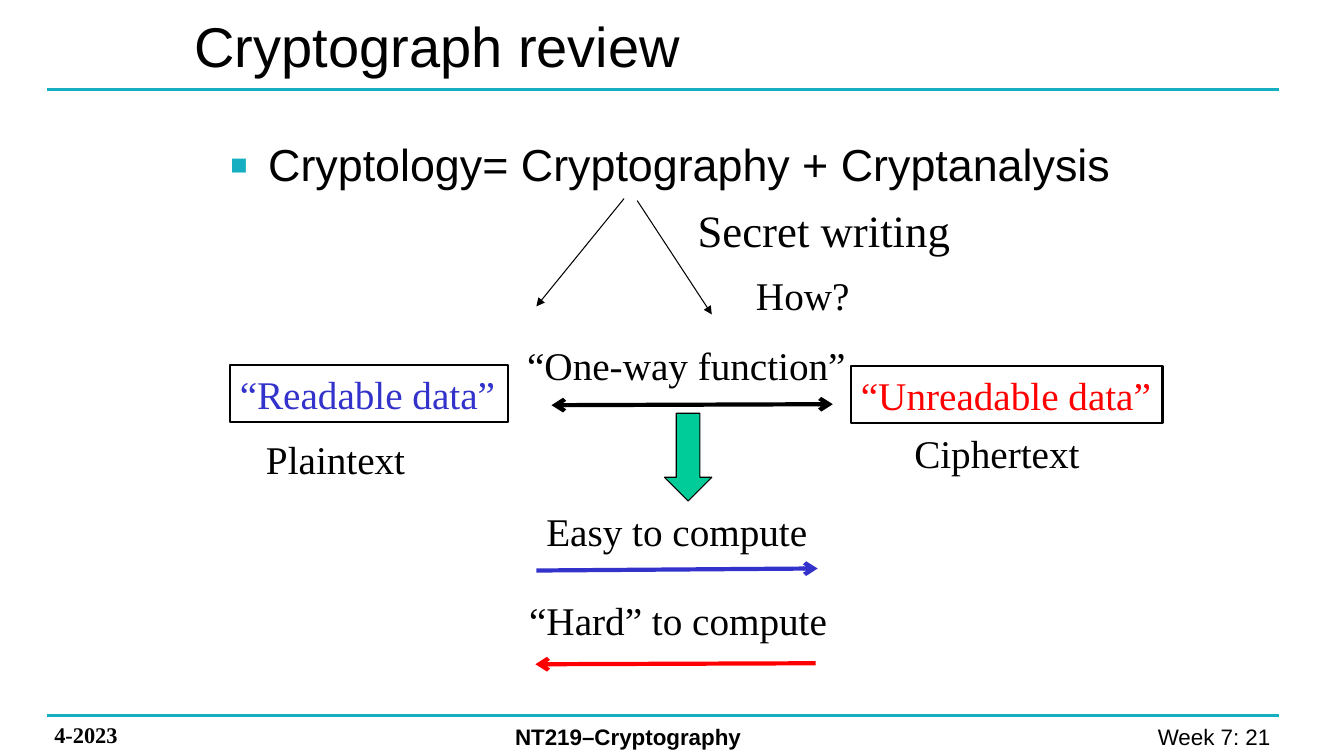
from lxml.etree import SubElement
from pptx import Presentation
from pptx.dml.color import RGBColor
from pptx.enum.shapes import MSO_CONNECTOR, MSO_SHAPE
from pptx.enum.text import MSO_ANCHOR, MSO_AUTO_SIZE, PP_ALIGN
from pptx.oxml.ns import qn
from pptx.util import Emu, Pt

EMU_PER_PX = 9144  # 100 px to the inch
BLACK, TEAL, BLUE, RED, GREEN = "000000", "16AFC2", "3333CC", "FF0000", "00CC99"
SANS, SERIF = "Arial", "Times New Roman"


def px(length):
    return Emu(length * EMU_PER_PX)


def color(value):
    return RGBColor.from_string(value)


def apply_format(target, values):
    for name, value in values.items():
        setattr(target, name, value)


def add_xml(parent, tag, **attributes):
    return SubElement(parent, qn(tag), attributes)


class SlideBuilder:
    """Holds the text style and the slide being built."""

    text_format = {"name": SERIF, "size": Pt(28), "bold": False}

    def __init__(self, deck):
        self.page = deck.slides.add_slide(deck.slide_layouts[1])

    def set_text(self, shape, words, ink=BLACK, align=PP_ALIGN.LEFT,
                 anchor=MSO_ANCHOR.TOP, wrap=True, **changes):
        frame = shape.text_frame
        apply_format(frame, {"word_wrap": wrap, "auto_size": MSO_AUTO_SIZE.NONE,
                             "vertical_anchor": anchor})
        para = frame.paragraphs[0]
        para.alignment = align
        span = para.add_run()
        span.text = words
        apply_format(span.font, {**self.text_format, **changes})
        span.font.color.rgb = color(ink)
        return para

    def placeholder(self, index, bounds, words, **style):
        holder = self.page.placeholders[index]
        sides = ("left", "top", "width", "height")
        apply_format(holder, dict(zip(sides, map(px, bounds))))
        return self.set_text(holder, words, name=SANS, **style)

    def bullet_item(self, index, bounds, words, **style):
        para = self.placeholder(index, bounds, words, **style)
        para.space_before = Pt(3)
        props = para._p.get_or_add_pPr()
        props.set("marL", str(px(38)))
        props.set("indent", str(px(-38)))
        add_xml(add_xml(props, "a:buClr"), "a:srgbClr", val=TEAL)
        add_xml(props, "a:buSzPct", val="125000")
        add_xml(props, "a:buFont", typeface=SANS)
        add_xml(props, "a:buChar", char="▪")

    def label(self, bounds, words, **style):
        box = self.page.shapes.add_textbox(*map(px, bounds))
        self.set_text(box, words, **style)

    def shape(self, kind, bounds, weight, fill=None):
        shape = self.page.shapes.add_shape(kind, *map(px, bounds))
        shape.shadow.inherit = False
        if fill:
            shape.fill.solid()
            shape.fill.fore_color.rgb = color(fill)
        else:
            shape.fill.background()
        shape.line.color.rgb = color(BLACK)
        shape.line.width = Pt(weight)
        return shape

    def framed_label(self, bounds, words, ink):
        frame = self.shape(MSO_SHAPE.RECTANGLE, bounds, 1.5)
        self.set_text(frame, words, ink=ink, wrap=False)

    def line(self, start, end, ink, weight, head=None, tail=None):
        line = self.page.shapes.add_connector(
            MSO_CONNECTOR.STRAIGHT, *map(px, start + end))
        line.line.color.rgb = color(ink)
        line.line.width = Pt(weight)
        stroke = line.line._get_or_add_ln()
        for tag, arrow in (("a:headEnd", head), ("a:tailEnd", tail)):
            if arrow:
                add_xml(stroke, tag, type=arrow)
        add_xml(line._element.spPr, "a:effectLst")


def main():
    deck = Presentation()
    apply_format(deck, {"slide_width": px(1333), "slide_height": px(750)})
    slide = SlideBuilder(deck)

    # Header and footer
    for y in (89, 710):
        slide.line((47, y), (1269, y), TEAL, 2.25)
    slide.label((982, 712, 294, 37), "Week 7: 21 ", align=PP_ALIGN.RIGHT,
                name=SANS, size=Pt(16))
    slide.label((44, 711, 178, 37), "4-2023", size=Pt(16), bold=True)
    slide.label((501, 712, 409, 37), "NT219–Cryptography",
                name=SANS, size=Pt(16), bold=True)

    # Title and statement
    slide.placeholder(0, (183, 1, 728, 87), "Cryptograph review",
                      anchor=MSO_ANCHOR.MIDDLE, size=Pt(40))
    slide.bullet_item(1, (218, 131, 897, 193),
                      "Cryptology= Cryptography + Cryptanalysis", size=Pt(32))

    # Branches from the word Cryptography
    slide.line((619, 197), (532, 304), BLACK, 0.75, tail="triangle")
    slide.line((632, 199), (706, 312), BLACK, 0.75, tail="triangle")
    slide.label((682, 196, 273, 64), "Secret writing", wrap=False, size=Pt(32))

    # Data on either side of the one-way function
    slide.framed_label((228, 362, 276, 57), "“Readable data”", BLUE)
    slide.framed_label((844, 363, 309, 57), "“Unreadable data”", RED)
    slide.line((547, 402), (826, 401), BLACK, 3, head="arrow", tail="arrow")
    slide.shape(MSO_SHAPE.DOWN_ARROW, (659, 410, 47, 87), 0.75, fill=GREEN)

    # Captions
    for left, top, width, words in (
        (740, 264, 114, "How?"),
        (513, 334, 338, "“One-way function”"),
        (254, 427, 160, "Plaintext"),
        (897, 421, 186, "Ciphertext"),
        (532, 498, 282, "Easy to compute"),
        (515, 587, 317, "“Hard” to compute"),
    ):
        slide.label((left, top, width, 57), words, wrap=False)

    # Directions of computation
    slide.line((532, 566), (811, 564), BLUE, 3, tail="arrow")
    slide.line((531, 659), (809, 658), RED, 3, head="arrow")

    deck.save("out.pptx")


if __name__ == "__main__":
    main()
